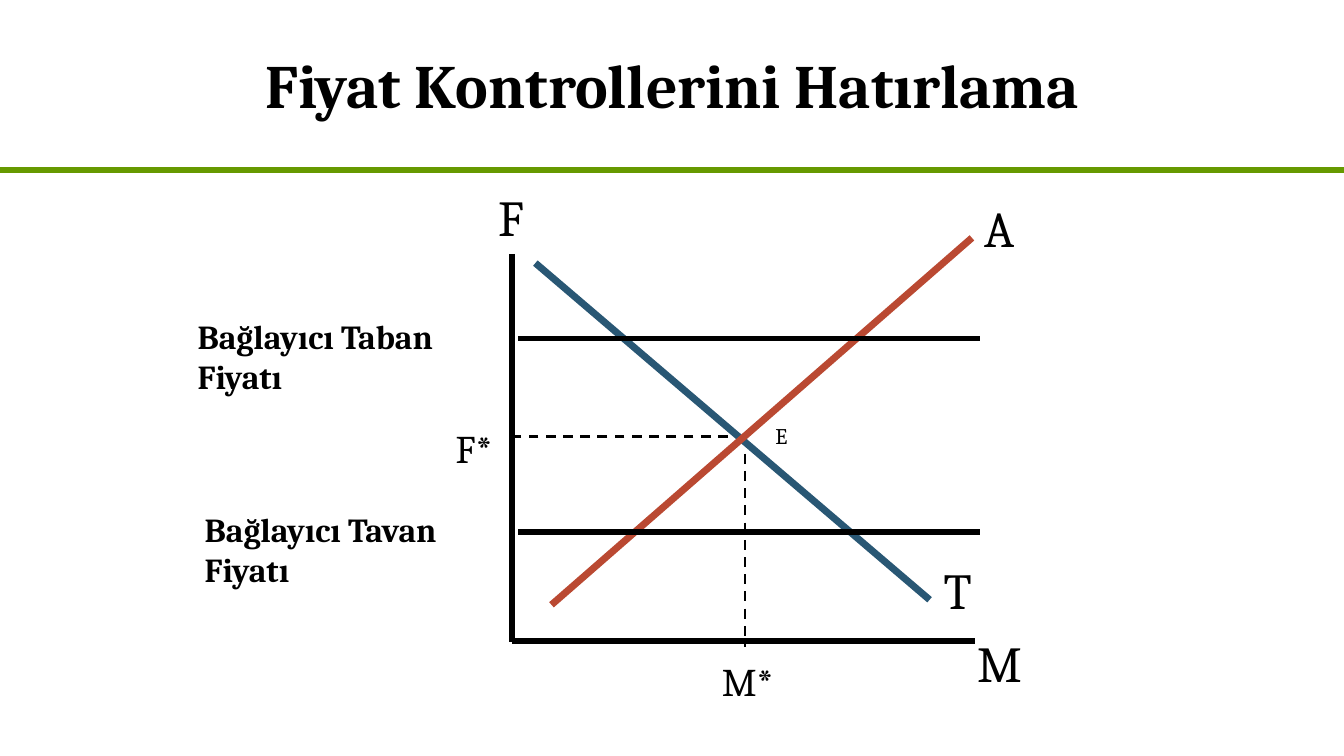
from lxml.etree import SubElement
from pptx import Presentation
from pptx.dml.color import RGBColor
from pptx.enum.dml import MSO_LINE
from pptx.enum.shapes import MSO_CONNECTOR
from pptx.enum.text import MSO_ANCHOR, PP_ALIGN
from pptx.oxml.ns import qn
from pptx.util import Inches, Pt

COLORS = {"ink": "000000", "rule": "669900", "demand": "295774", "supply": "BA4932"}


class SlideBuilder:
    font_name = "Cambria"

    def __init__(self, slide):
        self.slide = slide

    def add_run(self, paragraph, text, size, bold):
        run = paragraph.add_run()
        run.text = text
        run.font.name = self.font_name
        run.font.size = Pt(size)
        run.font.bold = bold
        run.font.color.rgb = RGBColor.from_string(COLORS["ink"])

    def title(self, text, left, top, width, height):
        shape = self.slide.shapes.title
        shape.left, shape.top = Inches(left), Inches(top)
        shape.width, shape.height = Inches(width), Inches(height)
        shape.text_frame.vertical_anchor = MSO_ANCHOR.MIDDLE
        paragraph = shape.text_frame.paragraphs[0]
        paragraph.alignment = PP_ALIGN.CENTER
        self.add_run(paragraph, text, 44, True)

    def label(self, text, left, top, width, height, size, bold=False):
        shape = self.slide.shapes.add_textbox(
            Inches(left), Inches(top), Inches(width), Inches(height))
        frame = shape.text_frame
        frame.word_wrap = True
        frame.margin_left = frame.margin_right = Inches(0.05)
        frame.margin_top = frame.margin_bottom = Inches(0.02)
        paragraph = frame.paragraphs[0]
        paragraph.space_after = Pt(10)
        self.add_run(paragraph, text, size, bold)

    def line(self, start, end, color="ink", width=4, dashed=False):
        points = [Inches(value) for value in (*start, *end)]
        connector = self.slide.shapes.add_connector(MSO_CONNECTOR.STRAIGHT, *points)
        connector.line.color.rgb = RGBColor.from_string(COLORS[color])
        connector.line.width = Pt(width)
        if dashed:
            connector.line.dash_style = MSO_LINE.DASH
        SubElement(connector._element.spPr, qn("a:effectLst"))


def main():
    presentation = Presentation()
    presentation.slide_width = Inches(13.33)
    presentation.slide_height = Inches(7.5)
    slide = presentation.slides.add_slide(presentation.slide_layouts[5])
    builder = SlideBuilder(slide)

    # Title and rule
    builder.line((0, 1.69), (13.33, 1.69), "rule", 4.5)
    builder.title("Fiyat Kontrollerini Hatırlama", 0.67, 0, 12, 1.67)

    # Axes
    builder.line((5.08, 2.52), (5.08, 6.37))
    builder.line((5.08, 6.36), (9.67, 6.36))

    # Equilibrium guides
    equilibrium = (7.39, 4.33)
    for axis_point in ((5.06, 4.33), (7.39, 6.42)):
        builder.line(equilibrium, axis_point, width=1.75, dashed=True)

    # Demand and supply curves
    builder.line((5.31, 2.61), (9.22, 5.95), "demand", 5)
    builder.line((5.47, 6), (9.64, 2.36), "supply", 5)

    # Price floor and price ceiling
    for price_level in (3.36, 5.28):
        builder.line((5.14, price_level), (9.72, price_level))
    builder.label("Bağlayıcı Taban Fiyatı", 1.91, 3.11, 3.07, 0.5, 24, True)
    builder.label("Bağlayıcı Tavan Fiyatı", 1.98, 5.03, 3.17, 0.5, 24, True)

    # Axis, curve and equilibrium labels
    for text, left, top, width, height, size in (
        ("F", 4.89, 1.83, 0.61, 0.44, 36),
        ("M", 9.64, 6.25, 0.61, 0.44, 36),
        ("T", 9.31, 5.53, 0.67, 0.69, 36),
        ("A", 9.71, 1.94, 0.51, 0.69, 36),
        ("E", 7.64, 4.17, 1.25, 0.36, 16),
        ("F*", 4.47, 4.19, 0.58, 0.5, 28),
        ("M*", 7.11, 6.5, 0.64, 0.5, 28),
    ):
        builder.label(text, left, top, width, height, size)

    presentation.save("out.pptx")


if __name__ == "__main__":
    main()
